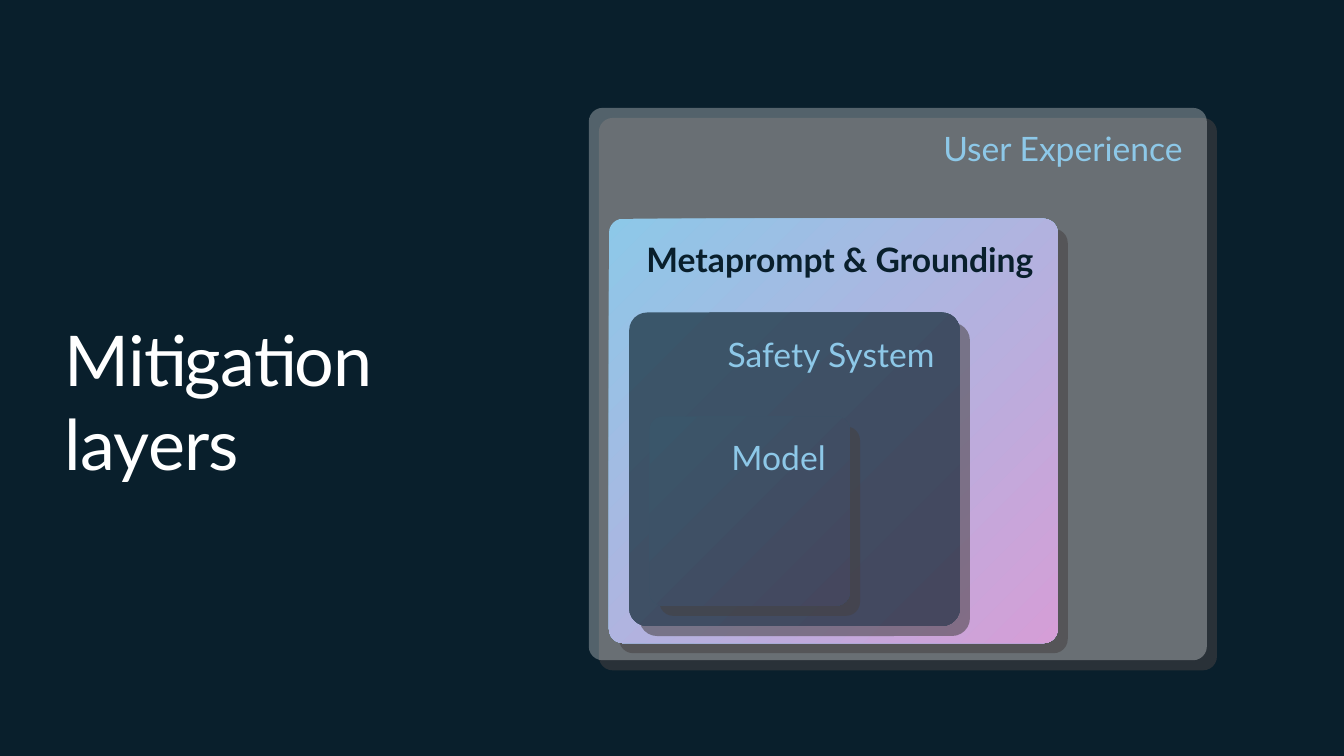
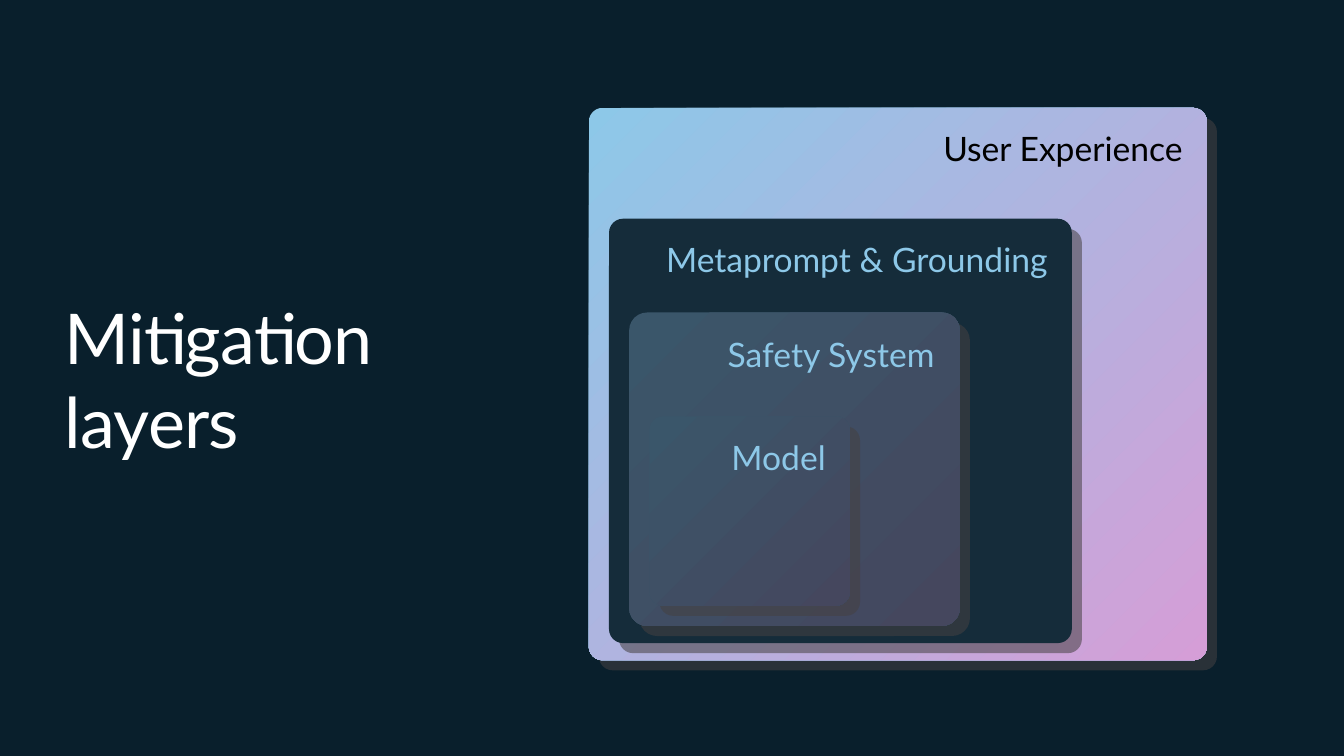
from lxml import etree
from pptx import Presentation
from pptx.dml.color import RGBColor
from pptx.enum.shapes import MSO_SHAPE
from pptx.enum.text import MSO_ANCHOR, PP_ALIGN
from pptx.oxml.ns import qn
from pptx.util import Inches, Pt

ROUNDED = MSO_SHAPE.ROUNDED_RECTANGLE
LEFT, RIGHT, TOP = PP_ALIGN.LEFT, PP_ALIGN.RIGHT, MSO_ANCHOR.TOP
FONT = "Lato"
COLORS = {
    "night": "091F2C", "dusk": "152C3A", "white": "FFFFFF", "black": "000000",
    "sky": "8DC8E8", "pink": "D59ED7", "shadow": "454142",
    "slate": "3A566A", "plum": "45475E",
}
HIGHLIGHT = ("sky", "pink")
MUTED = ("slate", "plum")
SHADE_OFFSET = 0.1
# Boxes are left, top, width, height in inches; the layers' are relative to the diagram.
DIAGRAM = (5.84, 1.07, 6.13, 5.48)
LAYERS = [
    ("User Experience", (0, 0, 6.13, 5.48), 0.025),
    ("Metaprompt & Grounding", (0.2, 1.1, 4.59, 4.21), 0.033),
    ("Safety System", (0.4, 2.03, 3.28, 3.11), 0.057),
    ("Model", (0.6, 3.06, 1.99, 1.88), 0.074),
]
PLAIN = {"fill": MUTED, "color": "sky"}
SLIDES = [
    (3.14, [
        {"fill": ("white",), "opacity": 30, "color": "sky"},
        {"fill": HIGHLIGHT, "color": "night", "bold": True, "width": 4.45},
        PLAIN, PLAIN,
    ]),
    (2.92, [
        {"fill": HIGHLIGHT, "color": "black"},
        {"fill": ("dusk",), "color": "sky"},
        PLAIN, PLAIN,
    ]),
]


def rgb(name):
    return RGBColor.from_string(COLORS[name])


def write(shape, text, size=24, color="white", bold=False, align=LEFT,
          margins=(0, 0), spacing=None):
    frame = shape.text_frame
    frame.word_wrap = True
    frame.vertical_anchor = TOP
    frame.margin_left = frame.margin_right = Inches(margins[0])
    frame.margin_top = frame.margin_bottom = Inches(margins[1])
    para = frame.paragraphs[0]
    para.alignment = align
    span = para.add_run()
    span.text = text
    font = span.font
    font.name, font.size, font.bold = FONT, Pt(size), bold
    font.color.rgb = rgb(color)
    if spacing is not None:
        font._element.set("spc", str(round(spacing * 100)))


def paint(shape, colors, opacity=100):
    """Fill with one colour, or with a diagonal gradient between two."""
    fill = shape.fill
    if len(colors) == 2:
        fill.gradient()
        fill.gradient_angle = 315
        for position, (stop, color) in enumerate(zip(fill.gradient_stops, colors)):
            stop.color.rgb = rgb(color)
            stop.position = position
        return
    fill.solid()
    fill.fore_color.rgb = rgb(colors[0])
    if opacity < 100:
        tint = shape._element.spPr.find(".//" + qn("a:srgbClr"))
        etree.SubElement(tint, qn("a:alpha"), val=str(opacity * 1000))


def add_panel(page, box, corner, fill, opacity=100):
    panel = page.shapes.add_shape(ROUNDED, *map(Inches, box))
    panel.adjustments[0] = corner
    panel.shadow.inherit = False
    panel.line.fill.background()
    paint(panel, fill, opacity)
    return panel


def add_layer(page, box, text, corner, fill, color, opacity=100, bold=False):
    """Add a labelled panel above its shade, which shows through a clear fill."""
    left, top, width, height = box
    shade_box = (left + SHADE_OFFSET, top + SHADE_OFFSET, width, height)
    add_panel(page, shade_box, corner, ("shadow",), opacity=55)
    panel = add_panel(page, box, corner, fill, opacity)
    write(panel, text, color=color, bold=bold, align=RIGHT, margins=(0.2, 0.16))


def add_diagram(page, box, styles):
    for (text, (x, y, width, height), corner), style in zip(LAYERS, styles):
        look = dict(style)
        width = look.pop("width", width)
        add_layer(page, (box[0] + x, box[1] + y, width, height), text, corner, **look)


def add_title(page, box, text):
    write(page.shapes.add_textbox(*map(Inches, box)), text, size=50, spacing=-0.5)


def add_layers_slide(deck, title_top, styles):
    page = deck.slides.add_slide(deck.slide_layouts[6])
    page.background.fill.solid()
    page.background.fill.fore_color.rgb = rgb("night")
    add_title(page, (0.64, title_top, 4.51, 1.67), "Mitigation layers")
    add_diagram(page, DIAGRAM, styles)


def main():
    deck = Presentation()
    deck.slide_width, deck.slide_height = Inches(13.33), Inches(7.5)
    for title_top, styles in SLIDES:
        add_layers_slide(deck, title_top, styles)
    deck.save("out.pptx")


if __name__ == "__main__":
    main()
